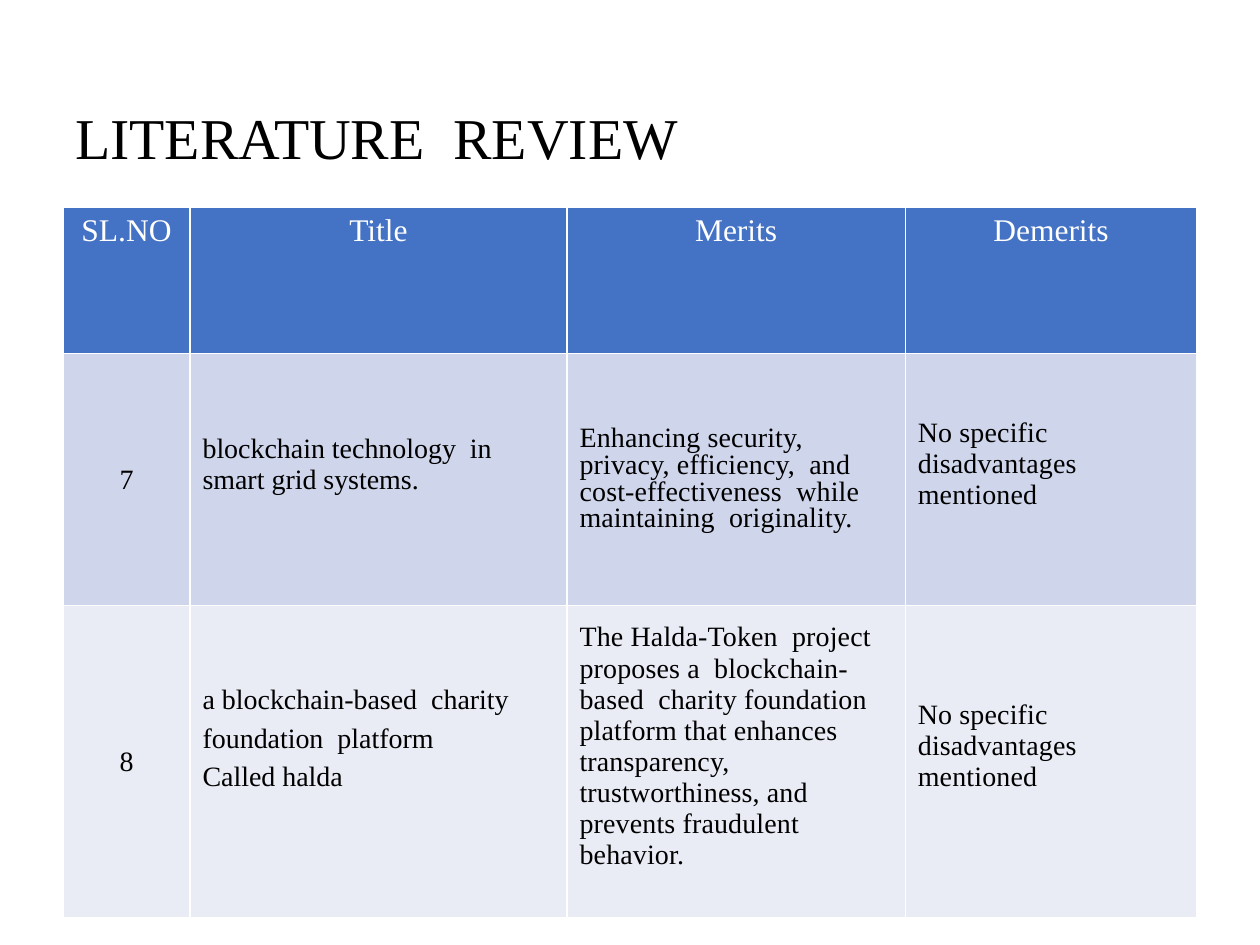
from lxml import etree
from pptx import Presentation
from pptx.dml.color import RGBColor
from pptx.enum.text import MSO_ANCHOR, PP_ALIGN
from pptx.oxml.ns import qn
from pptx.util import Cm, Pt

LEFT, CENTER = PP_ALIGN.LEFT, PP_ALIGN.CENTER
TOP, MIDDLE = MSO_ANCHOR.TOP, MSO_ANCHOR.MIDDLE
FONT = "Times New Roman"
COLORS = {"white": "FFFFFF", "black": "000000", "header": "4472C4",
          "band_dark": "CFD5EA", "band_light": "E9EBF5"}


def write(para, text, size, color, tracking=0):
    span = para.add_run()
    span.text = text
    span.font.name = FONT
    span.font.size = Pt(size)
    span.font.color.rgb = RGBColor.from_string(COLORS[color])
    if tracking:
        span.font._element.set("spc", str(tracking))


def add_borders(cell, color):
    # Borders come before the fill in the cell properties
    properties = cell._tc.get_or_add_tcPr()
    for index, side in enumerate(("a:lnL", "a:lnR", "a:lnT", "a:lnB")):
        line = etree.Element(qn(side), w=str(Pt(1)))
        fill = etree.SubElement(line, qn("a:solidFill"))
        etree.SubElement(fill, qn("a:srgbClr"), val=COLORS[color])
        properties.insert(index, line)


deck = Presentation()
deck.slide_width, deck.slide_height = Cm(25.4), Cm(19.05)
page = deck.slides.add_slide(deck.slide_layouts[6])

# Title
title_box = page.shapes.add_textbox(Cm(1.27), Cm(1.52), Cm(27.08), Cm(2.64))
title_frame = title_box.text_frame
title_frame.word_wrap = True
title_frame.vertical_anchor = MIDDLE
title_para = title_frame.paragraphs[0]
title_para.line_spacing = 0.9
write(title_para, "LITERATURE  REVIEW", 33, "black")

# Table content: each cell is a list of paragraphs
headings = [["SL.NO"], ["Title"], ["Merits"], ["Demerits"]]
no_demerits = ["No specific  disadvantages  mentioned"]
rows = [
    headings,
    [["7"],
     ["blockchain technology  in smart grid systems."],
     ["Enhancing security,  privacy, efficiency,  and cost-effectiveness  "
      "while maintaining  originality."],
     no_demerits],
    [["8"],
     ["a blockchain-based  charity", "foundation  platform", "Called halda"],
     ["The Halda-Token  project proposes a  blockchain-based  charity "
      "foundation  platform that enhances  transparency,  trustworthiness, "
      "and  prevents fraudulent  behavior."],
     no_demerits],
]
row_fills = ["header", "band_dark", "band_light"]
row_heights = [2.96, 5.08, 5.88]
column_widths = [2.56, 7.6, 6.82, 5.88]

# Line spacing and bottom margin (cm) where a cell differs from the default
line_spacings = {(1, 2): 0.86, (2, 1): Pt(22)}
bottom_margins = {(1, 1): 0.75, (1, 3): 0.75,
                  (2, 1): 1.2, (2, 2): 0.75, (2, 3): 0.75}

# Table
table = page.shapes.add_table(len(rows), len(column_widths), Cm(1.27), Cm(4.17),
                              Cm(sum(column_widths)), Cm(sum(row_heights))).table
for column, width in zip(table.columns, column_widths):
    column.width = Cm(width)
for row, height in zip(table.rows, row_heights):
    row.height = Cm(height)

for r, row_cells in enumerate(rows):
    is_header = r == 0
    for c, lines in enumerate(row_cells):
        cell = table.cell(r, c)
        cell.fill.solid()
        cell.fill.fore_color.rgb = RGBColor.from_string(COLORS[row_fills[r]])
        add_borders(cell, "white")
        cell.vertical_anchor = TOP if is_header else MIDDLE
        cell.margin_bottom = Cm(bottom_margins.get((r, c), 0.13))
        for number, line in enumerate(lines):
            frame = cell.text_frame
            para = frame.add_paragraph() if number else frame.paragraphs[0]
            para.alignment = CENTER if is_header or c == 0 else LEFT
            para.line_spacing = line_spacings.get((r, c))
            write(para, line, 18 if is_header else 16,
                  "white" if is_header else "black",
                  10 if c >= 2 and not is_header else 0)

deck.save("out.pptx")
